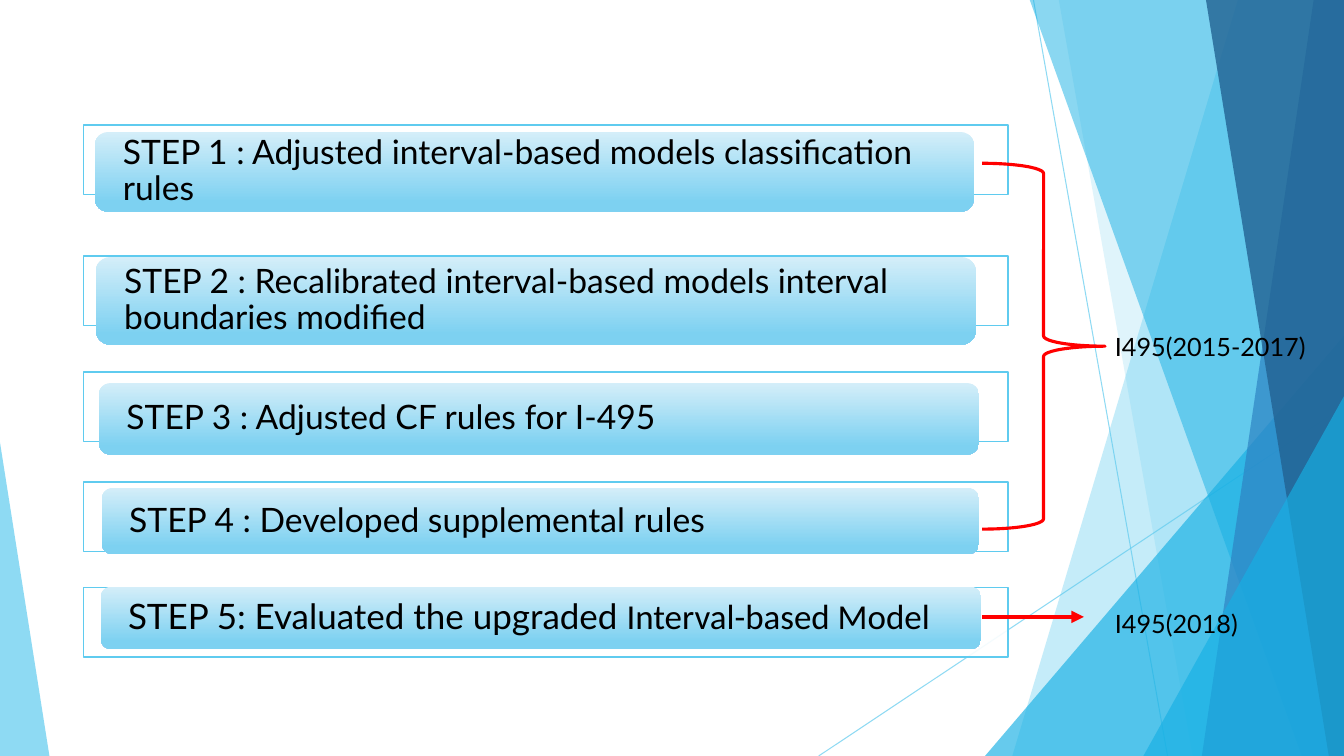
from lxml import etree
from pptx import Presentation
from pptx.dml.color import RGBColor
from pptx.enum.shapes import MSO_CONNECTOR as Connector, MSO_SHAPE as Shape
from pptx.enum.text import MSO_ANCHOR as Anchor, MSO_AUTO_SIZE as AutoSize, PP_ALIGN as Align
from pptx.oxml.ns import qn
from pptx.util import Pt

PX = 9144  # 100 px to the inch
SKY, CYAN, BLUE, NAVY = "5FCBEF", "17B0E4", "2E83C3", "226292"
RED, BLACK, WHITE = "FF0000", "000000", "FFFFFF"


def paint(color_format, hex_color, opacity=100):
    color_format.rgb = RGBColor.from_string(hex_color)
    if opacity < 100:
        color = color_format._xFill.find(qn("a:srgbClr"))
        etree.SubElement(color, qn("a:alpha"), val=str(opacity * 1000))


def add_line(ends, hex_color, weight, opacity=100):
    line = shapes.add_connector(Connector.STRAIGHT, *[n * PX for n in ends])
    line.line.fill.solid()
    paint(line.line.fill.fore_color, hex_color)
    line.line.width = Pt(weight)
    properties = line._element.spPr
    if opacity < 100:
        color = properties.find(".//" + qn("a:srgbClr"))
        etree.SubElement(color, qn("a:alpha"), val=str(opacity * 1000))
    etree.SubElement(properties, qn("a:effectLst"))
    return line


deck = Presentation()
deck.slide_width, deck.slide_height = 1333 * PX, 750 * PX
page = deck.slides.add_slide(deck.slide_layouts[6])
shapes = page.shapes

# Backdrop: thin lines, then translucent facets from back to front
add_line((1025, 0, 1158, 750), SKY, 0.75, 70)
add_line((1333, 403, 812, 750), SKY, 0.75, 70)

# Bands hold top x and bottom x; triangles hold left, top, width, height, apex
facets = [
    (SKY, 36, (1228, 1004)),
    (SKY, 20, (1050, 1183)),
    (CYAN, 66, (977, 333, 356, 417, 1)),
    (CYAN, 50, (1021, 1291)),
    (BLUE, 70, (1303, 1192)),
    (NAVY, 80, (1196, 1318)),
    (CYAN, 66, (1134, 393, 199, 357, 1)),
    (SKY, 70, (0, 439, 49, 311, 0)),
]
for hex_color, opacity, geometry in facets:
    if len(geometry) == 2:
        top_x, bottom_x = geometry
        outline = shapes.build_freeform(top_x, -1, scale=PX)
        outline.add_line_segments([(1333, -1), (1333, 750), (bottom_x, 750)])
        facet = outline.convert_to_shape()
    else:
        *place, apex = geometry
        facet = shapes.add_shape(Shape.ISOSCELES_TRIANGLE, *[n * PX for n in place])
        facet.adjustments[0] = apex
    facet.shadow.inherit = False
    facet.fill.solid()
    paint(facet.fill.fore_color, hex_color, opacity)
    facet.line.fill.background()

# Steps: frame top, pill place, text runs with size and font
steps = [
    (124, (94, 131, 872, 79),
     [("STEP 1 : Adjusted interval-based models classification rules", 24, "Lato")]),
    (254, (95, 255, 873, 87),
     [("STEP 2 : Recalibrated interval-based models interval boundaries modified", 24, "Lato")]),
    (369, (98, 380, 873, 71), [("STEP 3 : Adjusted CF rules for I-495", 24, "Lato")]),
    (478, (101, 484, 870, 66), [("STEP 4 : Developed supplemental rules", 24, "Lato")]),
    (583, (100, 582, 873, 62),
     [("STEP 5: Evaluated the upgraded ", 25, "Lato"), ("Interval-based Model", 25, "Calibri")]),
]
for frame_top, place, runs in steps:
    frame = shapes.add_shape(Shape.RECTANGLE, 83 * PX, frame_top * PX, 917 * PX, 69 * PX)
    frame.shadow.inherit = False
    frame.fill.solid()
    paint(frame.fill.fore_color, WHITE, 90)
    paint(frame.line.color, SKY)
    frame.line.width = Pt(1)

    pill = shapes.add_shape(Shape.ROUNDED_RECTANGLE, *[n * PX for n in place])
    pill.shadow.inherit = False
    pill.line.fill.background()
    pill.fill.gradient()
    pill.fill.gradient_angle = 270
    for stop, position, hex_color in zip(pill.fill.gradient_stops, (0, 0.88), ("D4EEF9", "7DD1F1")):
        stop.position = position
        paint(stop.color, hex_color)

    text = pill.text_frame
    text.word_wrap = True
    text.vertical_anchor = Anchor.MIDDLE
    text.margin_left = text.margin_right = 24 * PX
    text.margin_top = text.margin_bottom = 0
    para = text.paragraphs[0]
    para.alignment = Align.LEFT
    para.line_spacing = 0.9
    for wording, size, font in runs:
        span = para.add_run()
        span.text = wording
        span.font.size, span.font.name = Pt(size), font
        paint(span.font.color, BLACK)

# Data years used by the steps
brace = shapes.add_shape(Shape.RIGHT_BRACE, 974 * PX, 162 * PX, 122 * PX, 363 * PX)
brace.shadow.inherit = False
brace.fill.background()
paint(brace.line.color, RED)
brace.line.width = Pt(2.25)

arrow = add_line((974, 612, 1075, 612), RED, 3)
etree.SubElement(arrow.line._get_or_add_ln(), qn("a:tailEnd"), type="triangle")

for label, top in (("I495(2015-2017)", 324), ("I495(2018)", 599)):
    box = shapes.add_textbox(1096 * PX, top * PX, 213 * PX, 40 * PX)
    box.text_frame.word_wrap = True
    box.text_frame.auto_size = AutoSize.SHAPE_TO_FIT_TEXT
    box.text_frame.text = label
    span = box.text_frame.paragraphs[0].runs[0]
    span.font.size, span.font.name = Pt(18), "Lato"
    paint(span.font.color, BLACK)

deck.save("out.pptx")
